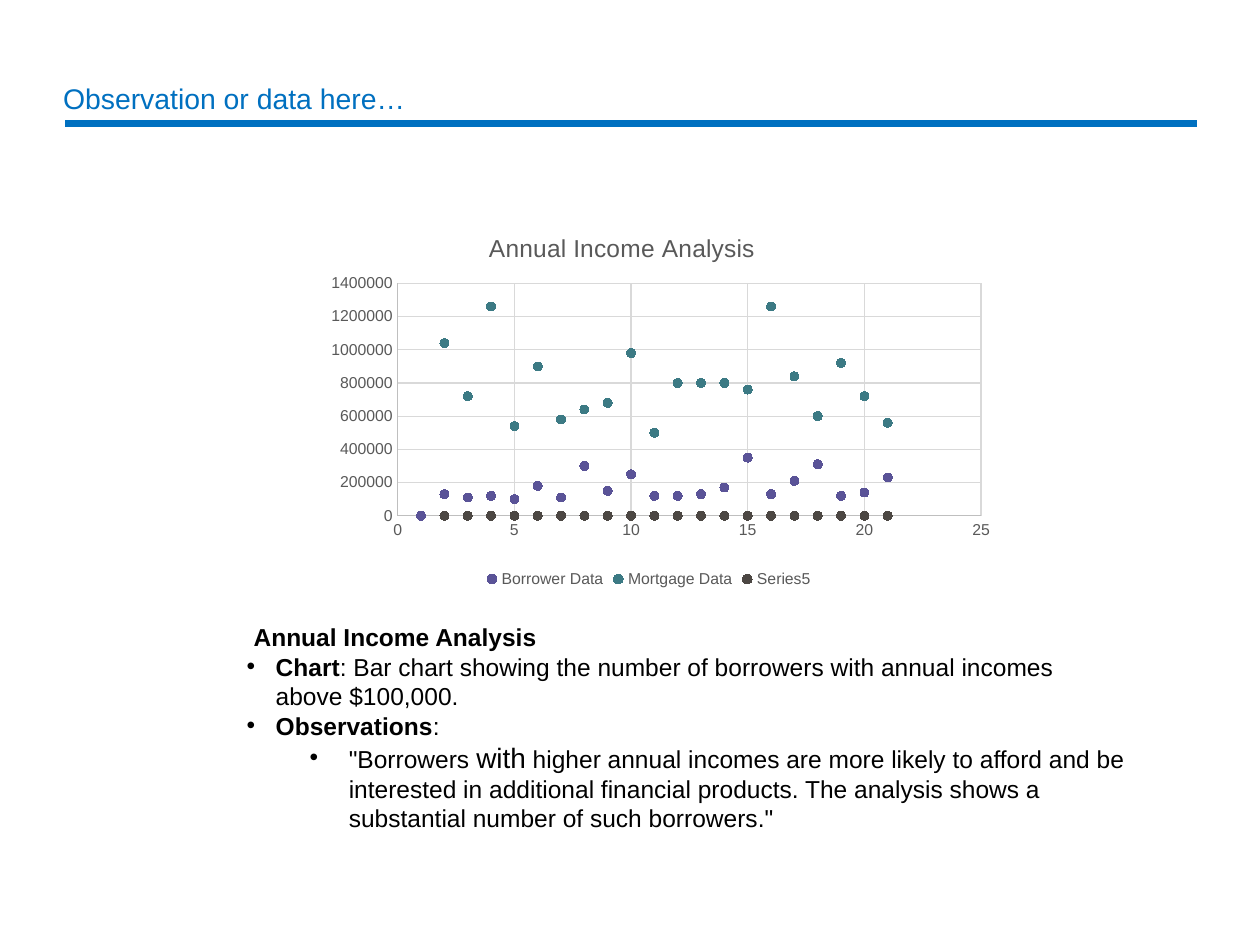
from dataclasses import dataclass
from typing import Optional

from lxml.etree import SubElement
from pptx import Presentation
from pptx.chart.data import XyChartData
from pptx.dml.color import RGBColor
from pptx.enum.chart import (XL_CHART_TYPE, XL_LEGEND_POSITION, XL_MARKER_STYLE,
                             XL_TICK_MARK)
from pptx.enum.shapes import MSO_CONNECTOR
from pptx.enum.text import MSO_ANCHOR, PP_ALIGN
from pptx.oxml import parse_xml
from pptx.oxml.ns import nsdecls, qn
from pptx.util import Inches, Pt

BLUE = RGBColor(0x00, 0x70, 0xC0)
BLACK = RGBColor(0x00, 0x00, 0x00)
GRAY = RGBColor(0x59, 0x59, 0x59)
AXIS = RGBColor(0xBF, 0xBF, 0xBF)
GRID = RGBColor(0xD9, 0xD9, 0xD9)
PURPLE = RGBColor(0x5A, 0x53, 0x97)
TEAL = RGBColor(0x3C, 0x7A, 0x84)
BROWN = RGBColor(0x4C, 0x47, 0x43)
FONT = "Arial"


@dataclass
class Series:
    name: str
    thousands: list[int]
    color: RGBColor


@dataclass
class Run:
    text: str
    bold: bool = False
    size: float = 14


@dataclass
class Para:
    runs: list[Run]
    level: int = 0
    margin: float = 0
    hanging: Optional[float] = None  # a bullet is drawn when set


# The first label is a word, so the points are spaced by their order 1 to 21
X_LABELS = ["x", 310, 140, 480, 60, 340, 120, 130, 410, 220, 140, 290, 150, 240, 20,
            410, 80, 230, 360, 230, 220]
SERIES = [
    Series("Borrower Data", [0, 130, 110, 120, 100, 180, 110, 300, 150, 250, 120, 120,
                             130, 170, 350, 130, 210, 310, 120, 140, 230], PURPLE),
    Series("Mortgage Data", [0, 1040, 720, 1260, 540, 900, 580, 640, 680, 980, 500, 800,
                             800, 800, 760, 1260, 840, 600, 920, 720, 560], TEAL),
    Series("Series5", [0] * 21, BROWN),
]

NOTES = [
    Para([Run(" "), Run("Annual Income Analysis", True)]),
    Para([Run("Chart", True),
          Run(": Bar chart showing the number of borrowers with annual incomes "
              "above $100,000.")], margin=0.23, hanging=0.23),
    Para([Run("Observations", True), Run(":")], margin=0.23, hanging=0.23),
    Para([Run('"Borrowers '), Run("with", size=16),
          Run(" higher annual incomes are more likely to afford and be interested in "
              "additional financial products. The analysis shows a substantial number "
              'of such borrowers."')], level=1, margin=0.81, hanging=0.31),
]


def set_font(font, size: float, color: RGBColor, bold: bool = False) -> None:
    font.name, font.size, font.bold = FONT, Pt(size), bold
    font.color.rgb = color


def set_layout(parent, x: float, y: float, w: float = 0, h: float = 0) -> None:
    """Place a title, or a plot area when a size is given, by chart fractions."""
    fields = [("xMode", "edge"), ("yMode", "edge"), ("x", x), ("y", y)]
    if w:
        fields = [("layoutTarget", "inner")] + fields + [("w", w), ("h", h)]
    inner = "".join(f'<c:{tag} val="{val}"/>' for tag, val in fields)
    layout = parse_xml(f'<c:layout {nsdecls("c")}><c:manualLayout>{inner}'
                       "</c:manualLayout></c:layout>")
    for old in parent.findall(qn("c:layout")):
        parent.remove(old)
    tx = parent.find(qn("c:tx"))
    parent.insert(0 if tx is None else 1, layout)


def use_text_labels(x_values) -> None:
    """Turn the numeric x reference of a series into a text reference."""
    ref = x_values.find(qn("c:numRef"))
    cache = ref.find(qn("c:numCache"))
    cache.remove(cache.find(qn("c:formatCode")))
    ref.tag, cache.tag = qn("c:strRef"), qn("c:strCache")


def format_axis(axis, maximum: int, step: int) -> None:
    axis.minimum_scale, axis.maximum_scale, axis.major_unit = 0, maximum, step
    axis.major_tick_mark = axis.minor_tick_mark = XL_TICK_MARK.NONE
    axis.has_major_gridlines = True
    for line, color in ((axis.format.line, AXIS), (axis.major_gridlines.format.line, GRID)):
        line.color.rgb, line.width = color, Pt(0.75)
    set_font(axis.tick_labels.font, 9, GRAY)
    axis.tick_labels.number_format = "General"
    axis.tick_labels.number_format_is_linked = False


def add_title(s) -> None:
    title = s.shapes.title
    title.left, title.top, title.width, title.height = map(Inches, (0.5, 0.645, 9, 0.3))
    tf = title.text_frame
    tf.text = "Observation or data here…"
    tf.word_wrap = True
    tf.vertical_anchor = MSO_ANCHOR.MIDDLE
    tf.margin_left = tf.margin_right = 0
    p = tf.paragraphs[0]
    p.alignment, p.line_spacing = PP_ALIGN.LEFT, 0.9
    set_font(p.runs[0].font, 16.2, BLUE)

    rule = s.shapes.add_connector(MSO_CONNECTOR.STRAIGHT, Inches(0.52), Inches(0.98),
                                  Inches(9.5), Inches(0.98))
    rule.line.color.rgb, rule.line.width = BLUE, Pt(4.5)
    SubElement(rule._element.spPr, qn("a:effectLst"))


def add_scatter(s) -> None:
    data = XyChartData()
    for series in SERIES:
        points = data.add_series(series.name)
        for x, value in zip(X_LABELS, series.thousands):
            points.add_data_point(x, value * 1000)
    chart = s.shapes.add_chart(XL_CHART_TYPE.XY_SCATTER, Inches(2.35), Inches(1.71),
                               Inches(5.6), Inches(3), data).chart
    set_font(chart.font, 10, BLACK)

    # Title, legend and plot area
    chart.has_title = True
    tf = chart.chart_title.text_frame
    tf.text = "Annual Income Analysis"
    set_font(tf.paragraphs[0].runs[0].font, 14, GRAY)
    set_layout(chart.chart_title._element, 0.267, 0.034)
    chart.has_legend = True
    chart.legend.position = XL_LEGEND_POSITION.BOTTOM
    chart.legend.include_in_layout = False
    set_font(chart.legend.font, 9, GRAY)
    set_layout(chart._chartSpace.chart.plotArea, 0.144, 0.18, 0.827, 0.615)

    format_axis(chart.category_axis, 25, 5)
    format_axis(chart.value_axis, 1400000, 200000)

    # Markers without joining lines
    plot = chart.plots[0]
    plot.vary_by_categories = False
    for drawn, series in zip(plot.series, SERIES):
        use_text_labels(drawn._element.find(qn("c:xVal")))
        drawn.format.line.fill.background()
        drawn.marker.style, drawn.marker.size = XL_MARKER_STYLE.CIRCLE, 5
        fmt = drawn.marker.format
        fmt.fill.solid()
        fmt.fill.fore_color.rgb = fmt.line.color.rgb = series.color


def add_notes(s) -> None:
    tf = s.shapes.add_textbox(Inches(1.86), Inches(4.89), Inches(7.18),
                              Inches(1.78)).text_frame
    tf.word_wrap = True
    for i, para in enumerate(NOTES):
        p = tf.add_paragraph() if i else tf.paragraphs[0]
        p.level = para.level
        for run in para.runs:
            r = p.add_run()
            r.text = run.text
            set_font(r.font, run.size, BLACK, run.bold)
        if para.hanging is not None:
            pPr = p._p.get_or_add_pPr()
            pPr.set("marL", str(Inches(para.margin)))
            pPr.set("indent", str(-Inches(para.hanging)))
            SubElement(pPr, qn("a:buFont"), typeface=FONT)
            SubElement(pPr, qn("a:buChar"), char="•")


def main() -> None:
    prs = Presentation()
    prs.slide_width, prs.slide_height = Inches(10), Inches(7.5)
    s = prs.slides.add_slide(prs.slide_layouts[5])
    add_title(s)
    add_notes(s)
    add_scatter(s)
    prs.save("out.pptx")


if __name__ == "__main__":
    main()
